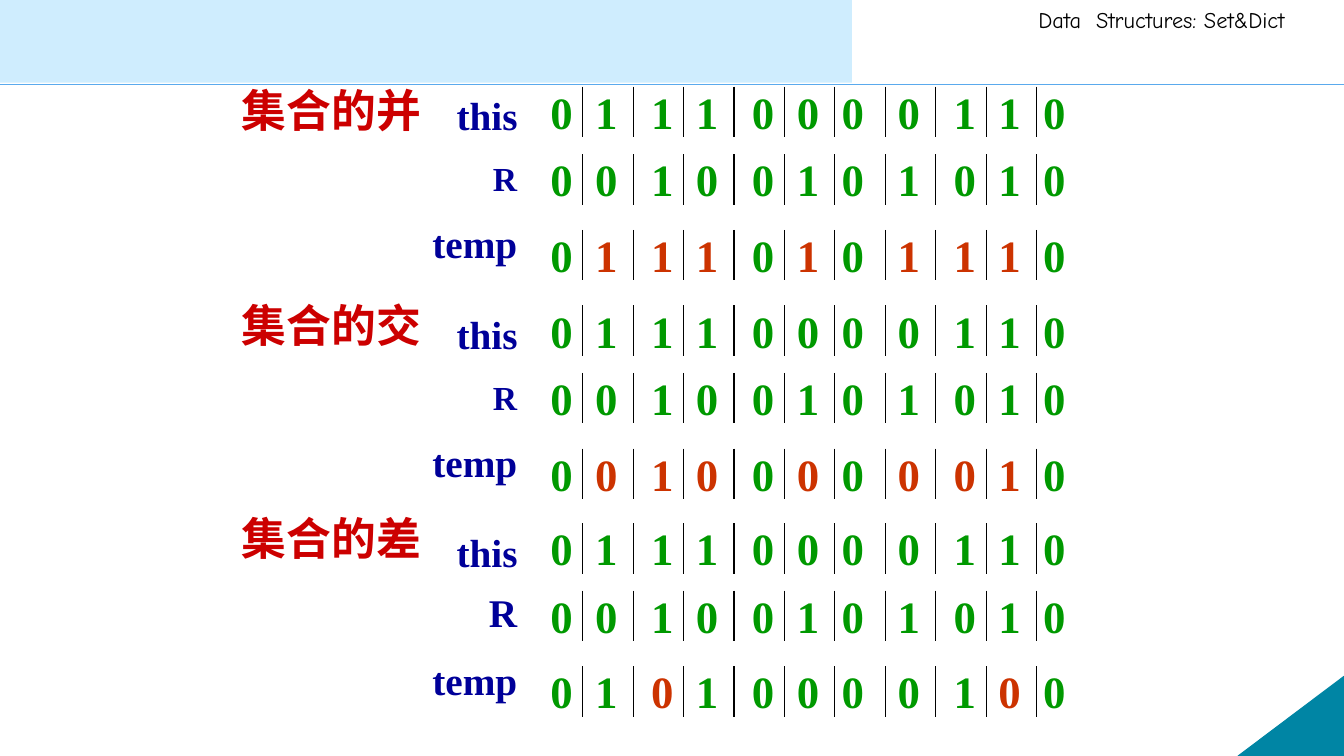
import pptx
import pptx.dml.color
import pptx.enum.shapes
import pptx.enum.text
import pptx.oxml
import pptx.oxml.ns
import pptx.util
from lxml import etree

Inches, Pt = pptx.util.Inches, pptx.util.Pt
RGB = pptx.dml.color.RGBColor.from_string
qn = pptx.oxml.ns.qn
SHAPE = pptx.enum.shapes.MSO_SHAPE
COLORS = {"band": "CFEDFE", "rule": "5AAAED", "corner": "0085A4", "black": "000000",
          "label": "000099", "bit": "009900", "changed": "CC3300", "heading": "CC0000"}


def add_text(shapes, box, runs, size, font="Times New Roman", bold=True, wrap=True):
    """Add a text box of (text, colour name) runs and return its paragraph."""
    tf = shapes.add_textbox(*map(Inches, box)).text_frame
    tf.word_wrap = wrap
    p = tf.paragraphs[0]
    for text, color in runs:
        r = p.add_run()
        r.text = text
        for name, value in {"name": font, "size": Pt(size), "bold": bold}.items():
            setattr(r.font, name, value)
        r.font.color.rgb = RGB(COLORS[color])
    return p


def add_line(shapes, x1, y1, x2, y2, color, width):
    line = shapes.add_connector(pptx.enum.shapes.MSO_CONNECTOR.STRAIGHT,
                                *map(Inches, (x1, y1, x2, y2)))
    line.line.color.rgb = RGB(COLORS[color])
    line.line.width = Pt(width)
    etree.SubElement(line._element.spPr, qn("a:effectLst"))


prs = pptx.Presentation()
prs.slide_width, prs.slide_height = Inches(13.33), Inches(7.5)
s = prs.slides.add_slide(prs.slide_layouts[6])

# Page frame
add_line(s.shapes, 0, 0.84, 13.33, 0.84, "rule", 1)
for kind, box, color in ((SHAPE.RIGHT_TRIANGLE, (12.28, 6.71, 1.05, 0.79), "corner"),
                         (SHAPE.RECTANGLE, (-0.03, -0.07, 8.48, 0.89), "band")):
    sp = s.shapes.add_shape(kind, *map(Inches, box))
    sp.shadow.inherit = False
    sp.fill.solid()
    sp.fill.fore_color.rgb = RGB(COLORS[color])
    if color == "corner":
        sp.line.color.rgb = RGB(COLORS[color])
        sp.line.width = Pt(0.75)
        sp._element.spPr.find(qn("a:xfrm")).set("flipH", "1")
    else:
        sp.line.fill.background()
add_text(s.shapes, (10.2, 0.01, 3.14, 0.37), [("Data  Structures: Set&Dict", "black")],
         16, "Comic Neue", False)

# Bit vectors; a bit is marked where the operation had something to decide
this = [0, 1, 1, 1, 0, 0, 0, 0, 1, 1, 0]
other = [0, 0, 1, 0, 0, 1, 0, 1, 0, 1, 0]
pairs = list(zip(this, other))
either = [a | b for a, b in pairs]
both = [a & b for a, b in pairs]
only_this = [a & (1 - b) for a, b in pairs]
unmarked = [0] * len(this)

# Heading, heading top, block top, result, marked bits, R label (top offset, width, size)
operations = [
    ("集合的并", 0.77, 0.86, either, either, (0.66, 0.45, 24)),
    ("集合的交", 2.9, 3.03, both, either, (0.66, 0.45, 24)),
    ("集合的差", 5.02, 5.19, only_this, both, (0.6, 0.49, 28)),
]
LABEL_RIGHT = 5.24
BIT_GAPS = [4, 5, 4, 5, 4, 4, 5, 5, 4, 4]  # in ninths of an inch

for heading, heading_top, top, result, marked, r_label in operations:
    block = s.shapes.add_group_shape().shapes
    rows = [
        ("this", (0, 0.81, 28), 0, this, unmarked),
        ("R", r_label, 0.67, other, unmarked),
        ("temp", (1.27, 1.05, 28), 1.42, result, marked),
    ]
    for label, (label_dy, width, size), dy, bits, marks in rows:
        y = top + dy
        for i in range(10):
            x = 5.78 + 0.5 * i
            add_line(block, x, y, x, y + 0.5, "black", 0.75)
        add_text(block, (LABEL_RIGHT - width, top + label_dy, width, 0.57),
                 [(label, "label")], size, wrap=False)
        runs = [("\t" * (i > 0) + str(bit), "changed" if mark else "bit")
                for i, (bit, mark) in enumerate(zip(bits, marks))]
        p = add_text(block, (5.36, y - 0.07, 5.36, 0.64), runs, 32)
        tabs = etree.SubElement(p._p.get_or_add_pPr(), qn("a:tabLst"))
        for i in range(len(BIT_GAPS)):
            stop = Inches(sum(BIT_GAPS[:i + 1]) / 9)
            etree.SubElement(tabs, qn("a:tab"), pos=str(int(stop)), algn="l")
    add_text(s.shapes, (2.3, heading_top, 2, 0.64), [(heading, "heading")], 32, "Calibri")

prs.save("out.pptx")
